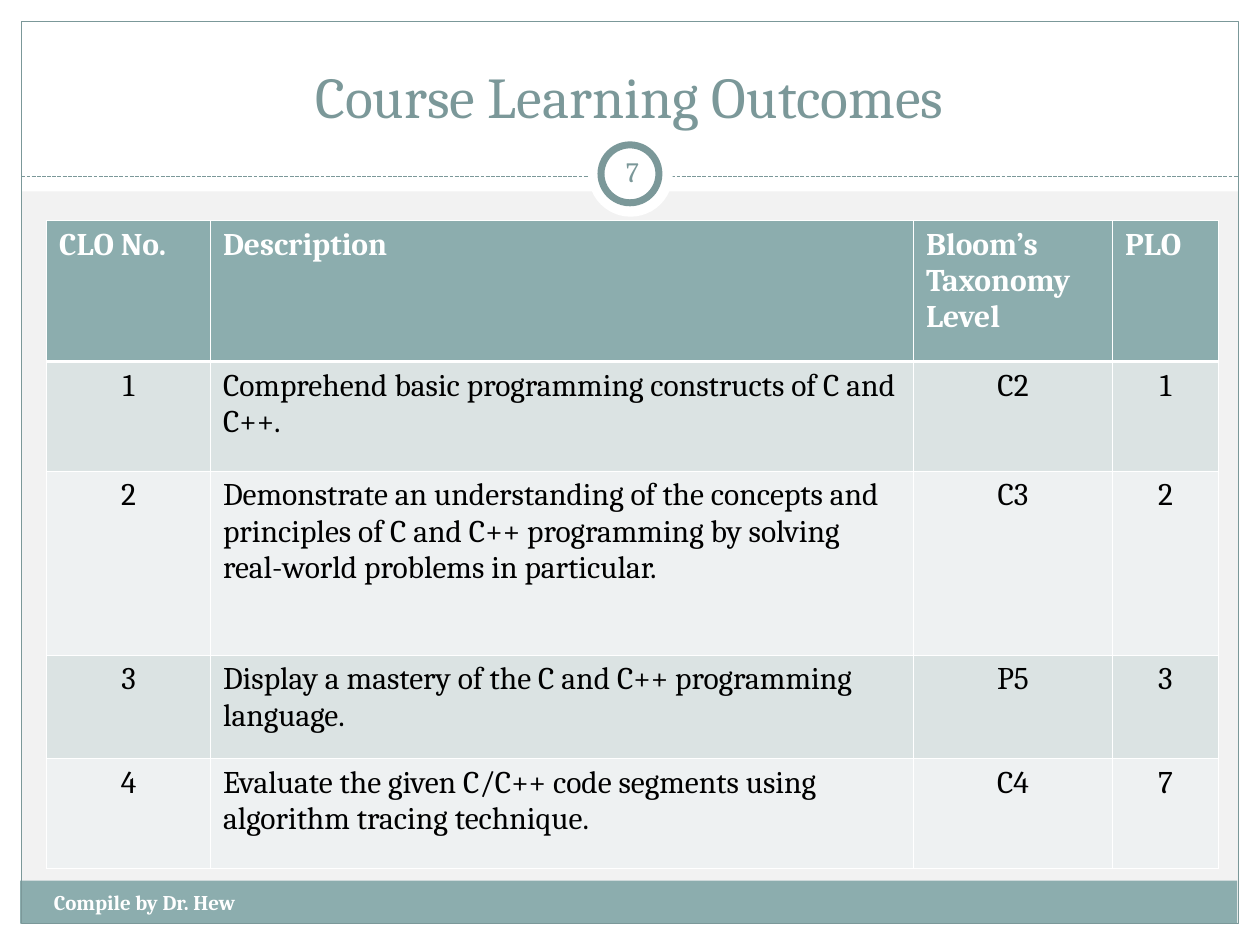
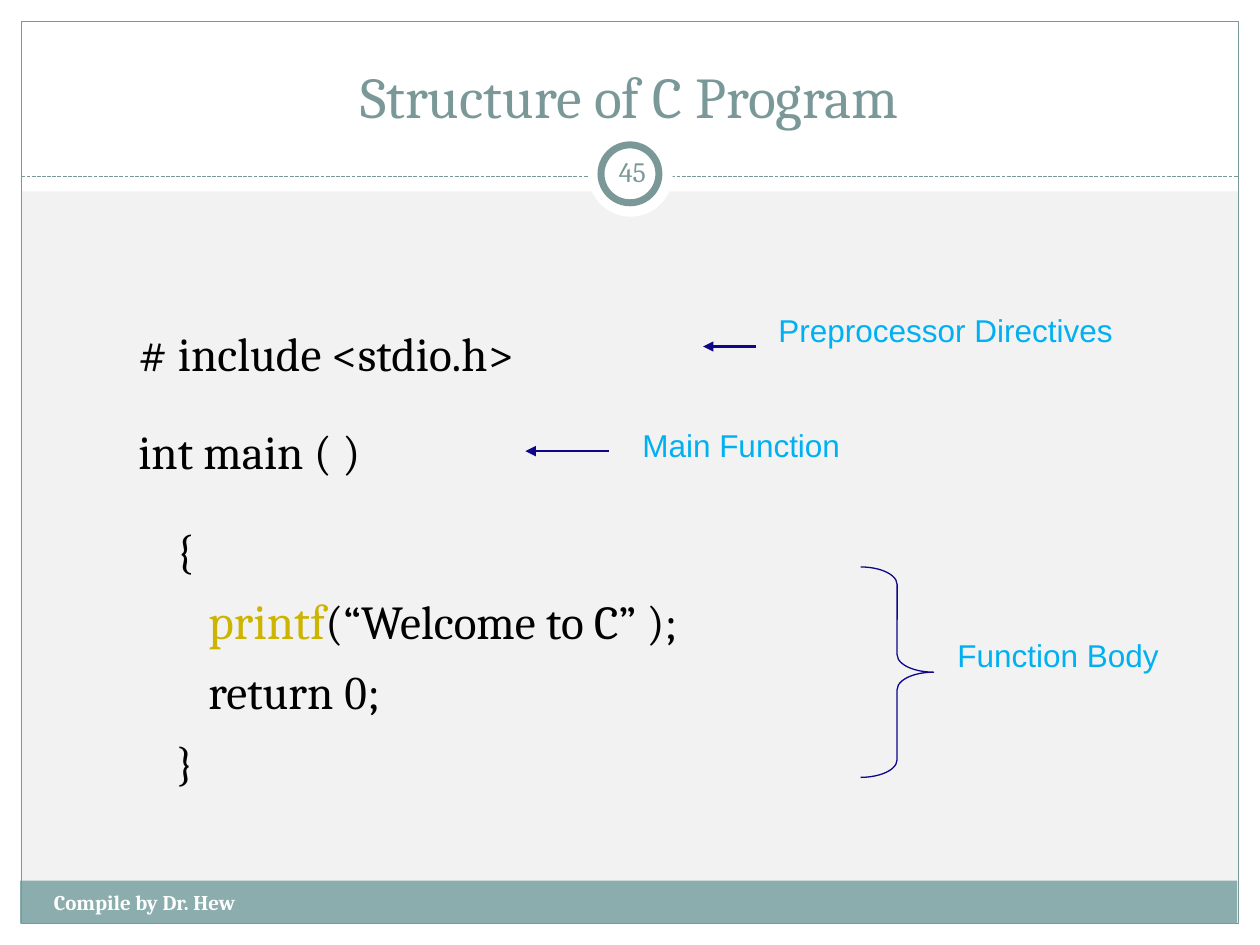
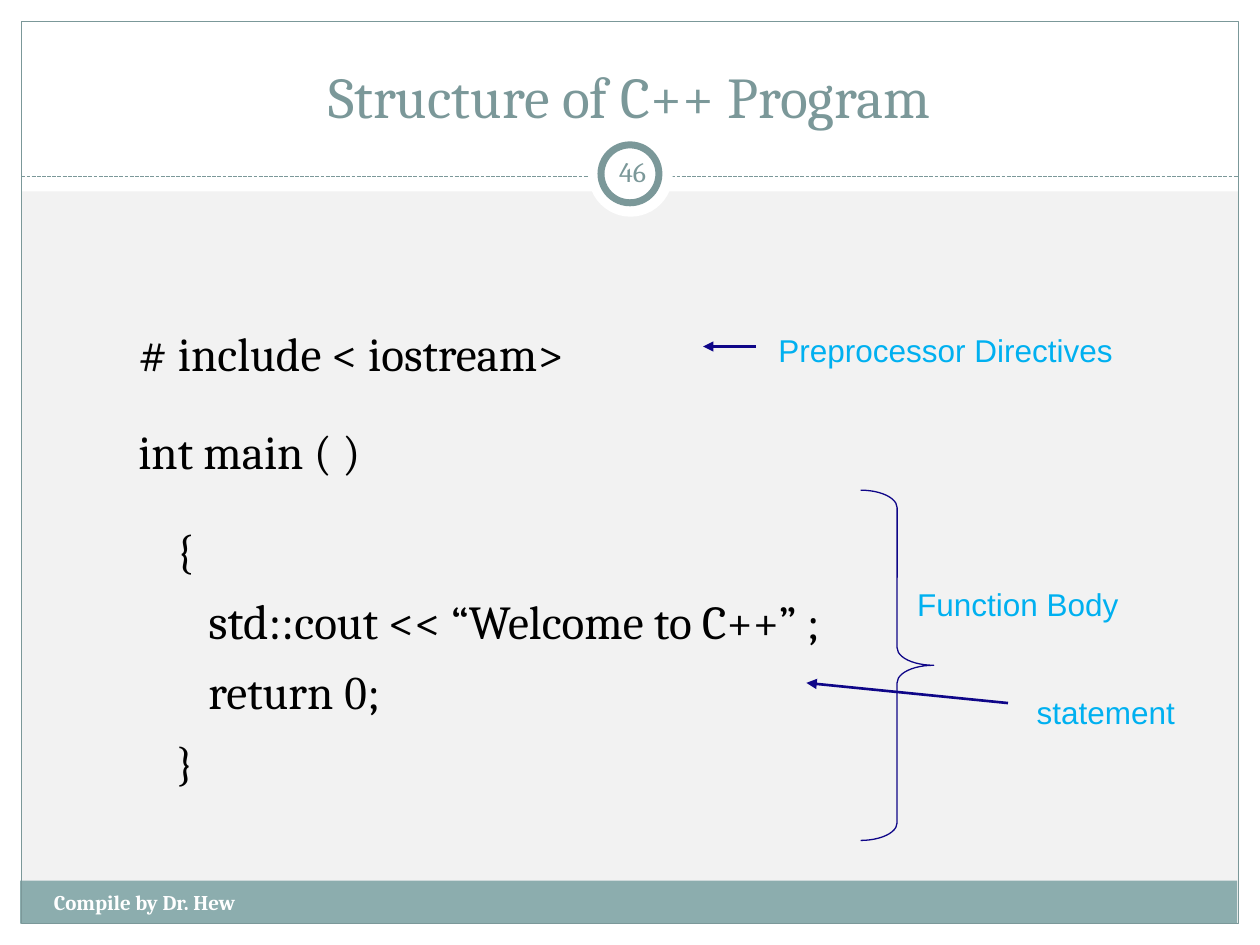
from dataclasses import dataclass

from lxml.etree import SubElement
from pptx import Presentation
from pptx.dml.color import RGBColor
from pptx.enum.dml import MSO_LINE
from pptx.enum.shapes import MSO_CONNECTOR, MSO_SHAPE
from pptx.enum.text import MSO_ANCHOR, MSO_AUTO_SIZE, PP_ALIGN
from pptx.oxml.ns import qn
from pptx.util import Inches, Pt

WHITE, BLACK, PAPER = "FFFFFF", "000000", "F2F2F2"
TEAL, BAND = "7B9899", "8CADAE"
ROW_TINTS = ("DBE3E3", "EEF1F2")
SKY, NAVY, GOLD = "00B0F0", "0F0688", "CCB400"
SERIF, SANS, DIGITS = "Cambria", "Arial", "Times New Roman"
FOOTER = "Compile by Dr. Hew"


@dataclass(frozen=True)
class Box:
    left: float
    top: float
    width: float
    height: float

    def lengths(self):
        return [Inches(v) for v in (self.left, self.top, self.width, self.height)]


@dataclass(frozen=True)
class Style:
    size: float
    color: str
    font: str = SERIF
    bold: bool = False


@dataclass(frozen=True)
class Panel:
    preset: MSO_SHAPE
    box: Box
    fill: str | None = None
    line: str | None = None
    weight: float = 0.75


@dataclass(frozen=True)
class Label:
    text: str
    box: Box


@dataclass(frozen=True)
class Arrow:
    start: tuple[float, float]
    end: tuple[float, float]


@dataclass(frozen=True)
class CodeLine:
    runs: tuple[tuple[str, Style], ...]
    space_before: float = 6.8


@dataclass(frozen=True)
class Program:
    title: str
    number: str
    include: str
    greeting: CodeLine
    labels: tuple[Label, ...]
    arrows: tuple[Arrow, ...]
    brace: Box


TITLE_STYLE = Style(33, TEAL)
NUMBER_STYLE = Style(16, TEAL)
FOOTER_STYLE = Style(12, WHITE, bold=True)
HEADER_STYLE = Style(18, WHITE, bold=True)
CELL_STYLE = Style(18, BLACK)
LABEL_STYLE = Style(18, SKY, SANS)
CODE = Style(27, BLACK)
WIDE_CODE = Style(28, BLACK)
KEYWORD = Style(28, GOLD)
ZERO = Style(27, BLACK, DIGITS)

MARGINS = [
    Panel(MSO_SHAPE.RECTANGLE, Box(0, 7.33, 10, 0.17), WHITE),
    Panel(MSO_SHAPE.RECTANGLE, Box(0, 0, 10, 1.52), WHITE),
    Panel(MSO_SHAPE.RECTANGLE, Box(0, 0, 0.17, 7.5), WHITE),
    Panel(MSO_SHAPE.RECTANGLE, Box(9.83, 0, 0.17, 7.5), WHITE),
    Panel(MSO_SHAPE.RECTANGLE, Box(0.16, 6.99, 9.66, 0.34), BAND),
    Panel(MSO_SHAPE.RECTANGLE, Box(0.17, 0.17, 9.66, 7.16), line=TEAL),
]
BADGE = [
    Panel(MSO_SHAPE.OVAL, Box(4.67, 1.05, 0.67, 0.67), WHITE),
    Panel(MSO_SHAPE.OVAL, Box(4.77, 1.15, 0.46, 0.46), WHITE, TEAL, 4),
]

COLUMN_WIDTHS = (1.3, 5.58, 1.58, 0.84)
ROW_HEIGHTS = (1.12, 0.87, 1.46, 0.82, 0.87)
OUTCOMES = [
    ("CLO No.", "Description", "Bloom’s Taxonomy Level", "PLO"),
    ("1", "Comprehend basic programming constructs of C and C++.", "C2", "1"),
    ("2", "Demonstrate an understanding of the concepts and principles of C and C++ "
          "programming by solving real-world problems in particular.", "C3", "2"),
    ("3", "Display a mastery of the C and C++ programming language.", "P5", "3"),
    ("4", "Evaluate the given C/C++ code segments using algorithm tracing technique.",
     "C4", "7"),
]

DIRECTIVE_ARROW = Arrow((6, 2.75), (5.58, 2.75))
PROGRAMS = [
    Program(
        "Structure of C Program", "45", "# include <stdio.h>",
        CodeLine((("\t   printf", KEYWORD), ("(“Welcome to C” );", CODE))),
        (Label("Preprocessor Directives", Box(6.08, 2.42, 4.17, 0.4)),
         Label("Function Body", Box(7.5, 5, 2.75, 0.4)),
         Label("Main Function", Box(5, 3.33, 4.17, 0.4))),
        (DIRECTIVE_ARROW, Arrow((4.83, 3.58), (4.17, 3.58))),
        Box(6.83, 4.5, 0.58, 1.67),
    ),
    Program(
        "Structure of C++ Program", "46", "# include < iostream>",
        CodeLine((("\t   ", KEYWORD), ("std::", WIDE_CODE),
                  ("cout << “Welcome to C++” ;", CODE))),
        (Label("Preprocessor Directives", Box(6.08, 2.58, 4.17, 0.4)),
         Label("Function Body", Box(7.18, 4.59, 2.75, 0.4)),
         Label("statement", Box(8.13, 5.45, 1.54, 0.4))),
        (DIRECTIVE_ARROW, Arrow((8, 5.58), (6.4, 5.42))),
        Box(6.83, 3.89, 0.58, 2.78),
    ),
]


def rgb(color: str) -> RGBColor:
    return RGBColor.from_string(color)


def add_run(paragraph, text: str, style: Style) -> None:
    run = paragraph.add_run()
    run.text = text
    run.font.size = Pt(style.size)
    run.font.name = style.font
    run.font.bold = style.bold
    run.font.color.rgb = rgb(style.color)


def add_frame(slide, box: Box, anchor=MSO_ANCHOR.TOP):
    frame = slide.shapes.add_textbox(*box.lengths()).text_frame
    frame.word_wrap = True
    frame.vertical_anchor = anchor
    return frame


def add_text(slide, box: Box, text: str, style: Style, align=PP_ALIGN.LEFT,
             anchor=MSO_ANCHOR.TOP):
    frame = add_frame(slide, box, anchor)
    frame.paragraphs[0].alignment = align
    add_run(frame.paragraphs[0], text, style)
    return frame


def add_panel(slide, panel: Panel):
    shape = slide.shapes.add_shape(panel.preset, *panel.box.lengths())
    shape.shadow.inherit = False
    if panel.fill:
        shape.fill.solid()
        shape.fill.fore_color.rgb = rgb(panel.fill)
    else:
        shape.fill.background()
    if panel.line:
        shape.line.color.rgb = rgb(panel.line)
        shape.line.width = Pt(panel.weight)
    else:
        shape.line.fill.background()
    return shape


def add_line(slide, path: Arrow, color: str, weight: float):
    points = [Inches(v) for v in (*path.start, *path.end)]
    connector = slide.shapes.add_connector(MSO_CONNECTOR.STRAIGHT, *points)
    connector.line.color.rgb = rgb(color)
    connector.line.width = Pt(weight)
    SubElement(connector._element.spPr, qn("a:effectLst"))
    return connector


def add_arrow(slide, arrow: Arrow) -> None:
    line = add_line(slide, arrow, NAVY, 1.5).line
    SubElement(line._get_or_add_ln(), qn("a:tailEnd"), type="triangle")


def add_base(prs, title: str, number: str):
    slide = prs.slides.add_slide(prs.slide_layouts[6])
    for panel in MARGINS:
        add_panel(slide, panel)
    divider = add_line(slide, Arrow((0.17, 1.4), (9.83, 1.4)), TEAL, 0.75)
    divider.line.dash_style = MSO_LINE.SQUARE_DOT
    for panel in BADGE:
        add_panel(slide, panel)
    add_text(slide, Box(0.33, 0.25, 9.33, 0.83), title, TITLE_STYLE,
             PP_ALIGN.CENTER, MSO_ANCHOR.BOTTOM)
    badge = add_text(slide, Box(4.77, 1.12, 0.5, 0.48), number, NUMBER_STYLE,
                     PP_ALIGN.CENTER, MSO_ANCHOR.MIDDLE)
    badge.margin_left = badge.margin_right = Inches(0.05)
    add_text(slide, Box(0.33, 7.01, 3.17, 0.4), FOOTER, FOOTER_STYLE)
    return slide


def set_borders(cell, weights: dict[str, float]) -> None:
    properties = cell._tc.get_or_add_tcPr()
    for side, weight in weights.items():
        border = SubElement(properties, qn(f"a:{side}"), w=str(Pt(weight)))
        fill = SubElement(border, qn("a:solidFill"))
        SubElement(fill, qn("a:srgbClr"), val=WHITE)


def add_outcomes(slide) -> None:
    box = Box(0.37, 1.75, sum(COLUMN_WIDTHS), sum(ROW_HEIGHTS))
    table = slide.shapes.add_table(len(OUTCOMES), len(COLUMN_WIDTHS), *box.lengths()).table
    for column, width in zip(table.columns, COLUMN_WIDTHS):
        column.width = Inches(width)
    for r, (row, height) in enumerate(zip(OUTCOMES, ROW_HEIGHTS)):
        table.rows[r].height = Inches(height)
        for c, text in enumerate(row):
            cell = table.cell(r, c)
            set_borders(cell, {"lnL": 0.45, "lnR": 0.45,
                               "lnT": 1.47 if r == 1 else 0.45,
                               "lnB": 1.47 if r == 0 else 0.45})
            cell.fill.solid()
            cell.fill.fore_color.rgb = rgb(ROW_TINTS[(r - 1) % 2] if r else BAND)
            paragraph = cell.text_frame.paragraphs[0]
            paragraph.alignment = PP_ALIGN.CENTER if r and c != 1 else PP_ALIGN.LEFT
            add_run(paragraph, text, CELL_STYLE if r else HEADER_STYLE)


def add_code(slide, program: Program) -> None:
    lines = [
        CodeLine(((program.include, CODE),), 0),
        CodeLine((("int main ( )", CODE),), 24),
        CodeLine((("\t{", CODE),), 24),
        program.greeting,
        CodeLine((("\t   ", KEYWORD), ("return ", CODE), ("0", ZERO), (";", CODE))),
        CodeLine((("\t", KEYWORD), ("}", CODE))),
    ]
    frame = add_frame(slide, Box(1, 1.92, 8.5, 4.75))
    frame.margin_top = Inches(0.65)
    for i, line in enumerate(lines):
        paragraph = frame.add_paragraph() if i else frame.paragraphs[0]
        properties = paragraph._p.get_or_add_pPr()
        properties.set("marL", str(Inches(0.3)))
        properties.set("indent", str(Inches(-0.3)))
        paragraph.space_before = Pt(line.space_before)
        for text, style in line.runs:
            add_run(paragraph, text, style)


def add_program(prs, program: Program) -> None:
    slide = add_base(prs, program.title, program.number)
    add_code(slide, program)
    for label in program.labels:
        frame = add_text(slide, label.box, label.text, LABEL_STYLE)
        frame.auto_size = MSO_AUTO_SIZE.SHAPE_TO_FIT_TEXT
    for arrow in program.arrows:
        add_arrow(slide, arrow)
    brace = add_panel(slide, Panel(MSO_SHAPE.RIGHT_BRACE, program.brace, line=NAVY))
    brace.adjustments[0] = 0.24


def main() -> None:
    prs = Presentation()
    prs.slide_width, prs.slide_height = Inches(10), Inches(7.5)
    background = prs.slide_master.background.fill
    background.solid()
    background.fore_color.rgb = rgb(PAPER)
    add_outcomes(add_base(prs, "Course Learning Outcomes", "7"))
    for program in PROGRAMS:
        add_program(prs, program)
    prs.save("out.pptx")


if __name__ == "__main__":
    main()
